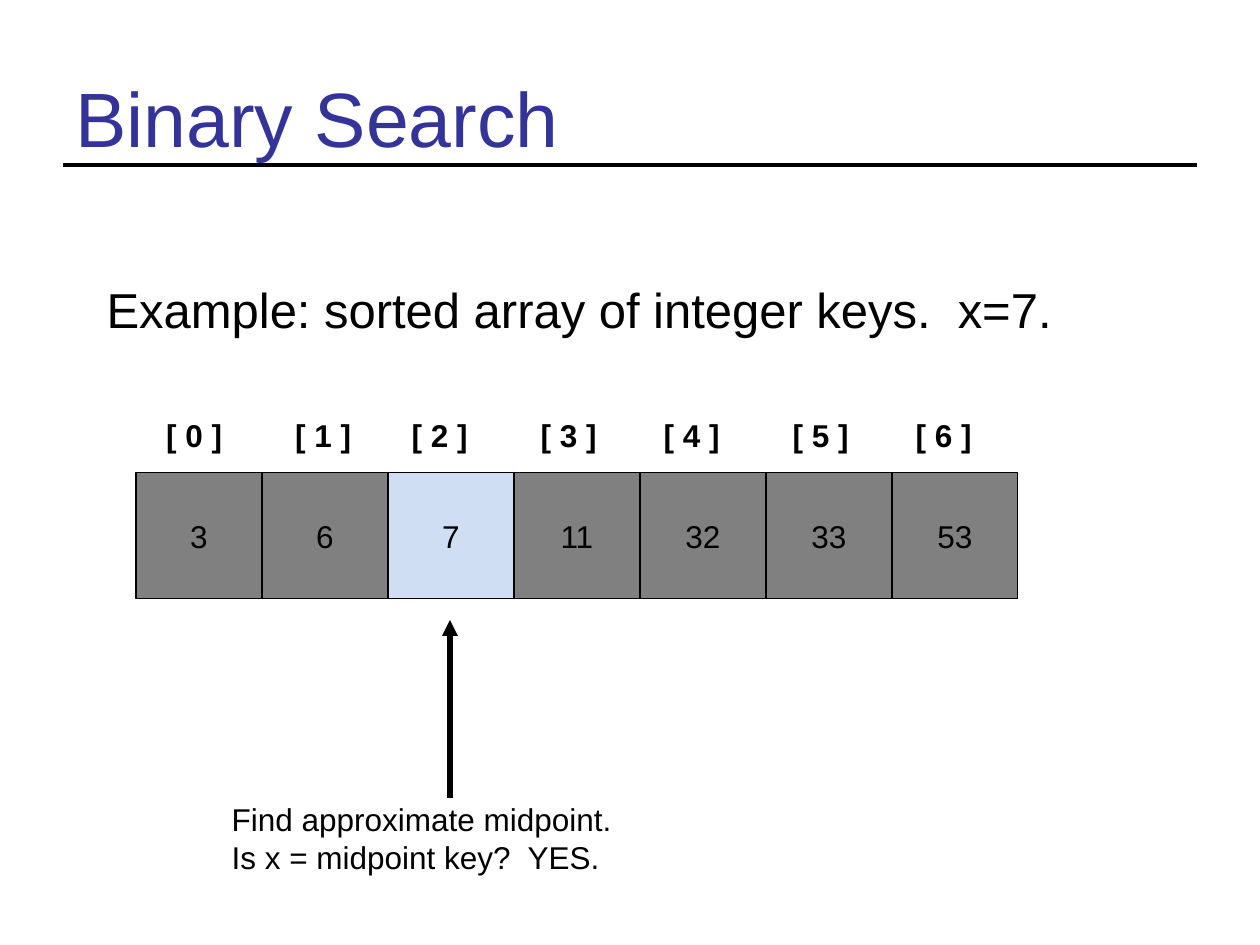
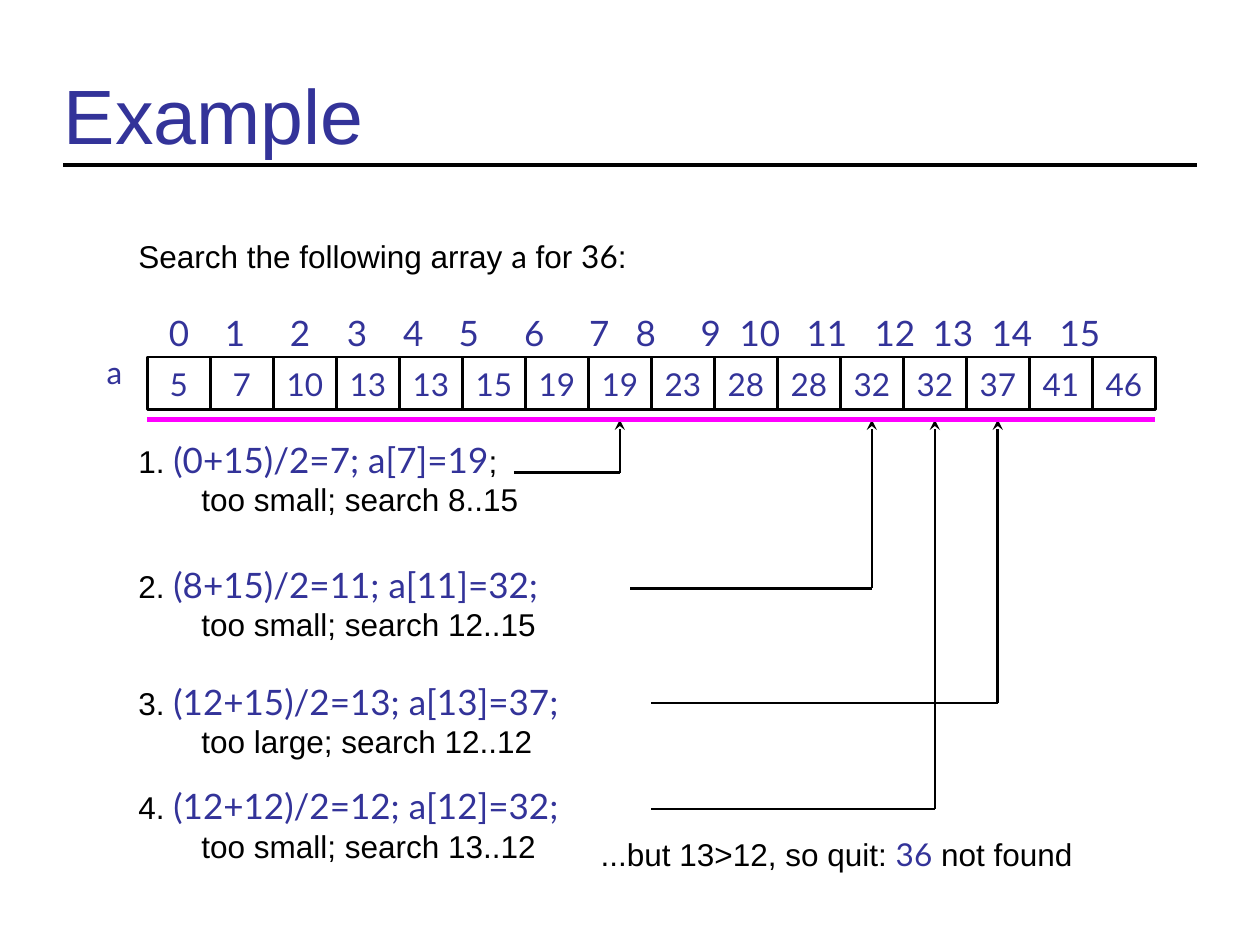
"""Build two slides that walk through binary search on sorted arrays."""
from lxml.etree import SubElement
from pptx import Presentation
from pptx.dml.color import RGBColor
from pptx.enum.shapes import MSO_CONNECTOR as Connector, MSO_SHAPE as Shape
from pptx.enum.text import MSO_ANCHOR as Anchor, PP_ALIGN as Align
from pptx.oxml.ns import qn
from pptx.util import Cm, Pt

BLACK, NAVY, GRAY, PALE_BLUE, MAGENTA = "000000", "333399", "808080", "CFDEF3", "FF00FF"
TITLE = {"name": "Arial", "size": Pt(44), "color": NAVY}
LEAD = {"name": "Arial", "size": Pt(28), "color": BLACK}
BODY = {"name": "Arial", "size": Pt(18), "color": BLACK}
LABEL = {**BODY, "bold": True}
CODE = {**BODY, "name": "Lato"}
VALUE = {**CODE, "color": NAVY}
FORMULA = {**VALUE, "size": Pt(20)}


def write_text(shape, *paragraphs, align=Align.LEFT, anchor=Anchor.TOP, wrap=True):
    """Fill a shape with paragraphs, each a list of (text, format) runs."""
    frame = shape.text_frame
    frame.word_wrap = wrap
    frame.vertical_anchor = anchor
    for number, runs in enumerate(paragraphs):
        paragraph = frame.add_paragraph() if number else frame.paragraphs[0]
        paragraph.alignment = align
        for text, values in runs:
            if text == "\n":
                paragraph.add_line_break()
                continue
            run = paragraph.add_run()
            run.text = text
            for key, value in values.items():
                if key == "color":
                    run.font.color.rgb = RGBColor.from_string(value)
                else:
                    setattr(run.font, key, value)
    return frame.paragraphs[0]


def draw_line(slide, start, end, width, color=BLACK, arrow=None):
    """Draw a straight line, with an arrowhead at its end if one is named."""
    line = slide.shapes.add_connector(Connector.STRAIGHT, *map(Cm, start + end))
    line.line.width = Pt(width)
    line.line.color.rgb = RGBColor.from_string(color)
    properties = line._element.spPr
    if arrow:
        SubElement(properties.find(qn("a:ln")), qn("a:tailEnd"), type=arrow)
    SubElement(properties, qn("a:effectLst"))


presentation = Presentation()
presentation.slide_width, presentation.slide_height = Cm(25.4), Cm(19.05)

slides = []
for title, box in [
    ("Binary Search", (1.27, 0.76, 22.86, 3.18)),
    ("Example", (1.04, 1.12, 21.64, 2.34)),
]:
    slide = presentation.slides.add_slide(presentation.slide_layouts[6])
    draw_line(slide, (1.27, 3.33), (24.13, 3.33), 2)
    write_text(slide.shapes.add_textbox(*map(Cm, box)), [(title, TITLE)], anchor=Anchor.MIDDLE)
    slides.append(slide)
search_slide, example_slide = slides

SEARCH_KEYS = [3, 6, 7, 11, 32, 33, 53]
EXAMPLE_KEYS = [5, 7, 10, 13, 13, 15, 19, 19, 23, 28, 28, 32, 32, 37, 41, 46]
SEARCH_LEFT, SEARCH_CELL = 2.74, 2.54
EXAMPLE_LEFT, EXAMPLE_CELL = 2.97, 1.27
MIDPOINT = 2

for slide, keys, kind, left, top, width, height, border, style in [
    (search_slide, SEARCH_KEYS, Shape.RECTANGLE, SEARCH_LEFT, 9.53, SEARCH_CELL, 2.54, 0.75, BODY),
    (example_slide, EXAMPLE_KEYS, Shape.FLOWCHART_PROCESS, EXAMPLE_LEFT, 7.2, EXAMPLE_CELL, 1.06, 1.5, VALUE),
]:
    for index, key in enumerate(keys):
        cell = slide.shapes.add_shape(kind, Cm(left + index * width), Cm(top), Cm(width), Cm(height))
        cell.shadow.inherit = False
        cell.line.color.rgb = RGBColor.from_string(BLACK)
        cell.line.width = Pt(border)
        if slide is search_slide:
            cell.fill.solid()
            cell.fill.fore_color.rgb = RGBColor.from_string(PALE_BLUE if index == MIDPOINT else GRAY)
        else:
            cell.fill.background()
        write_text(cell, [(str(key), style)], align=Align.CENTER, anchor=Anchor.MIDDLE, wrap=False)

for index, left in enumerate([3.1, 5.51, 8.05, 10.46, 13.13, 15.54, 18.21]):
    label = search_slide.shapes.add_textbox(Cm(left), Cm(8.26), Cm(2.01), Cm(1.24))
    write_text(label, [(f"[ {index} ]", LABEL)], align=Align.CENTER if index % 2 else Align.LEFT)

draw_line(search_slide, (9.07, 16.08), (9.07, 12.5), 3, arrow="triangle")

for slide, box, paragraphs in [
    (search_slide, (1.9, 5.51, 20.2, 1.4), [[("Example: sorted array of integer keys.  x=7.", LEAD)]]),
    (search_slide, (4.42, 16, 8.5, 1.8),
     [[("Find approximate midpoint.", BODY)], [("Is x = midpoint key?  YES.", BODY)]]),
    (example_slide, (2.54, 4.65, 14.81, 1.27),
     [[("Search the following array ", BODY), ("a", CODE), (" for ", BODY), ("36", CODE), (":", BODY)]]),
    (example_slide, (1.9, 6.99, 1.07, 1.27), [[("a", VALUE)]]),
    (example_slide, (11.86, 16.71, 12.7, 1.27),
     [[("...but 13>12, so quit: ", BODY), ("36", VALUE), (" not found", BODY)]]),
]:
    write_text(slide.shapes.add_textbox(*map(Cm, box)), *paragraphs)

INDEX_CENTERS = [0.39, 1.52, 2.83, 3.98, 5.11, 6.23, 7.55, 8.86,
                 9.8, 11.11, 12.1, 13.45, 14.82, 15.99, 17.18, 18.55]
index_row = example_slide.shapes.add_textbox(Cm(EXAMPLE_LEFT), Cm(6.15), Cm(20.52), Cm(1.09))
index_text = "".join(f"\t{index}" for index in range(len(EXAMPLE_KEYS)))
paragraph = write_text(index_row, [(index_text, FORMULA)])
tab_stops = SubElement(paragraph._p.get_or_add_pPr(), qn("a:tabLst"))
for center in INDEX_CENTERS:
    SubElement(tab_stops, qn("a:tab"), pos=str(int(Cm(center))), algn="ctr")

RULE_TOP = 8.46
STEPS = [
    ("(0+15)/2=7; a[7]=19", ";", "too small; search 8..15", 8.71, 9.73, 10.36, 9.53, 7),
    ("(8+15)/2=11; a[11]=32;", "", "too small; search 12..15", 11.23, 10.59, 12.7, 11.86, 11),
    ("(12+15)/2=13; a[13]=37;", "", "too large; search 12..12", 13.59, 11.86, 13.13, 14.17, 13),
    ("(12+12)/2=12; a[12]=32;", "", "too small; search 13..12", 15.7, 11.86, 13.13, 16.31, 12),
]
for number, (formula, ending, verdict, top, width, line_left, line_top, target) in enumerate(STEPS, 1):
    step = example_slide.shapes.add_textbox(Cm(2.54), Cm(top), Cm(width), Cm(2.29))
    runs = [(f"{number}. ", BODY), (formula, FORMULA), (ending, BODY), ("\n", BODY), (verdict, BODY)]
    paragraph = write_text(step, [run for run in runs if run[0]])
    properties = paragraph._p.get_or_add_pPr()
    properties.set("marL", str(int(Cm(1.27))))
    properties.set("indent", str(int(Cm(-1.27))))
    target_x = EXAMPLE_LEFT + (target + 0.5) * EXAMPLE_CELL
    draw_line(example_slide, (target_x, line_top), (target_x, RULE_TOP), 1.5, arrow="stealth")
    draw_line(example_slide, (line_left, line_top), (target_x, line_top), 1.5)

rule_right = EXAMPLE_LEFT + len(EXAMPLE_KEYS) * EXAMPLE_CELL
draw_line(example_slide, (EXAMPLE_LEFT, RULE_TOP), (rule_right, RULE_TOP), 3, MAGENTA)

presentation.save("out.pptx")
